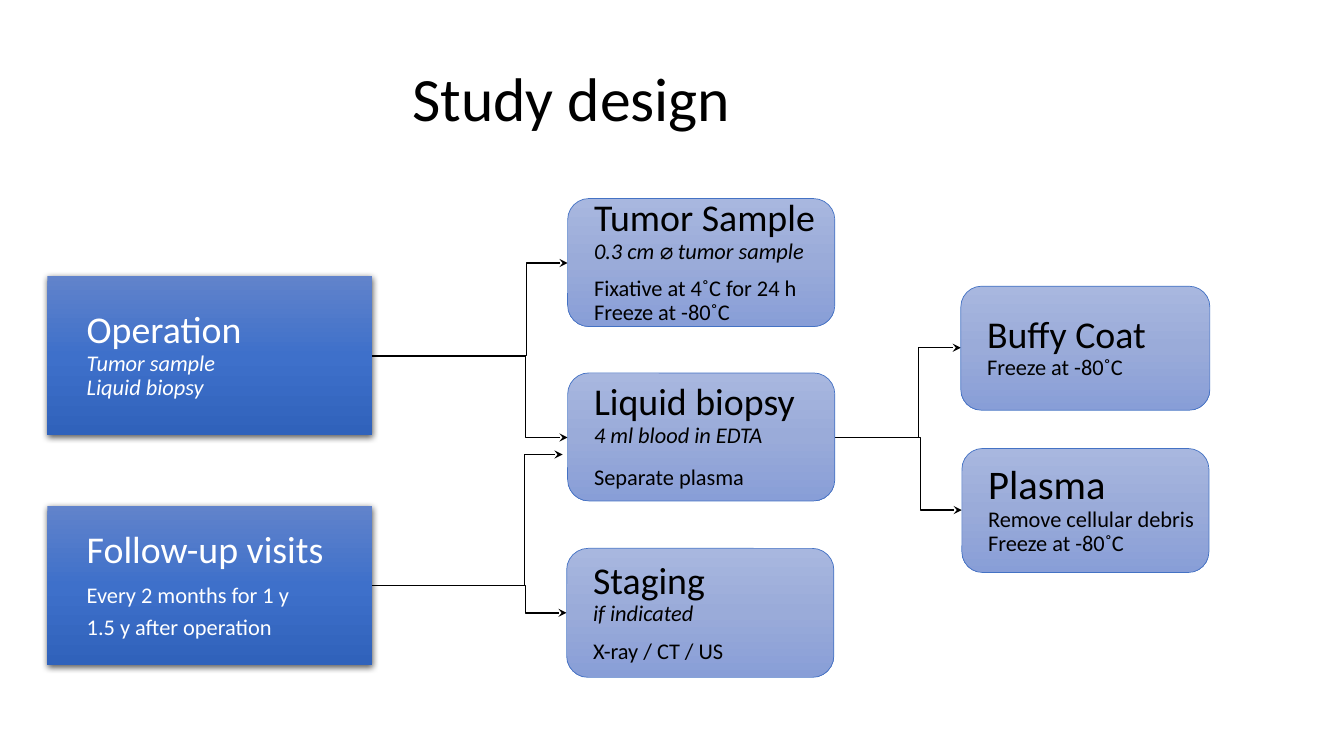
from lxml.etree import SubElement
from copy import deepcopy
from pptx import Presentation
from pptx.dml.color import RGBColor
from pptx.enum.shapes import MSO_CONNECTOR as Connector, MSO_SHAPE as Preset
from pptx.enum.text import MSO_ANCHOR as Anchor
from pptx.oxml import parse_xml
from pptx.oxml.ns import nsdecls, qn
from pptx.util import Inches, Pt

BLACK = RGBColor(0x00, 0x00, 0x00)
WHITE = RGBColor(0xFF, 0xFF, 0xFF)
OUTLINE = RGBColor(0x44, 0x72, 0xC4)
BLUES = [RGBColor(0x61, 0x83, 0xCB), RGBColor(0x3E, 0x70, 0xCA), RGBColor(0x30, 0x62, 0xBB)]
PALES = [RGBColor(0xA8, 0xB7, 0xDF), RGBColor(0x9A, 0xAB, 0xD9), RGBColor(0x88, 0x9E, 0xD7)]
FONT = "Calibri"
HEAD, BODY = 27, 16
GAP = 0.35

VISITS = [
    (2.74, [[("Operation", HEAD), ("Tumor sample ", BODY, True), ("Liquid biopsy", BODY, True)]]),
    (5.02, [[("Follow-up visits", HEAD)], [("Every 2 months for 1 y ", BODY)],
            [("1.5 y after operation", BODY)]]),
]
SAMPLES = [
    ((5.63, 1.97, 2.65, 1.27), GAP,
     [[("Tumor Sample", HEAD), ("0.3 cm ⌀ tumor sample", BODY, True)],
      [("Fixative at 4˚C for 24 h", BODY), ("Freeze at -80˚C", BODY)]]),
    ((5.63, 3.7, 2.65, 1.27), 0.48,
     [[("Liquid biopsy", HEAD), ("4 ml blood in EDTA", BODY, True)], [("Separate plasma", BODY)]]),
    ((5.62, 5.44, 2.65, 1.28), GAP,
     [[("Staging ", HEAD), ("if indicated", BODY, True)], [("X-ray / CT / US", BODY)]]),
    ((9.53, 2.84, 2.47, 1.23), GAP, [[("Buffy Coat", HEAD), ("Freeze at -80˚C", BODY)]]),
    ((9.54, 4.45, 2.45, 1.23), GAP,
     [[("Plasma", 29), ("Remove cellular debris", BODY), ("Freeze at -80˚C", BODY)]]),
]
ARROWS = [
    ((3.56, 5.81), 5.2, (5.58, 4.51)),
    ((3.69, 5.81), 5.21, (5.62, 6.08)),
    ((8.28, 4.34), 9.13, (9.54, 5.06)),
    ((8.28, 4.34), 9.11, (9.53, 3.45)),
    ((3.69, 3.53), 5.21, (5.63, 4.34)),
    ((3.69, 3.53), 5.22, (5.63, 2.61)),
]


def add_span(para, text, size, italic=False, color=BLACK):
    """Append one formatted run to a paragraph."""
    span = para.add_run()
    span.text = text
    span.font.name = FONT
    span.font.size = Pt(size)
    span.font.italic = italic
    span.font.color.rgb = color


def add_break(para, size):
    """Append a line break whose height follows the given text size."""
    para.add_line_break()
    SubElement(para._p[-1], qn("a:rPr"), sz=str(size * 100))


def write_paragraphs(frame, paragraphs, color, gap=GAP):
    """Fill a text frame with paragraphs made of lines."""
    for index, lines in enumerate(paragraphs):
        para = frame.paragraphs[0] if index == 0 else frame.add_paragraph()
        para.alignment = 1
        para.line_spacing = 0.9
        para.space_after = Pt(round(gap * max(line[1] for line in lines), 1))
        for number, (text, size, *style) in enumerate(lines):
            if number:
                add_break(para, lines[number - 1][1])
            add_span(para, text, size, *style, color=color)


def fill_gradient(shape, colors):
    """Fill a shape from top to bottom with three evenly spaced colours."""
    shape.fill.gradient()
    shape.fill.gradient_angle = 270
    stops = shape._element.spPr.find(qn("a:gradFill")).find(qn("a:gsLst"))
    stops.insert(1, deepcopy(stops[0]))
    for index, (stop, color) in enumerate(zip(shape.fill.gradient_stops, colors)):
        stop.position = index / 2
        stop.color.rgb = color


def add_box(page, preset, place, colors, paragraphs, text_color, inset, gap=GAP):
    """Add a gradient box with left-aligned, vertically centred text."""
    box = page.shapes.add_shape(preset, *map(Inches, place))
    box.shadow.inherit = False
    fill_gradient(box, colors)
    frame = box.text_frame
    frame.word_wrap = True
    frame.vertical_anchor = Anchor.MIDDLE
    frame.margin_left = Inches(inset)
    frame.margin_top = frame.margin_right = frame.margin_bottom = Inches(0.02)
    write_paragraphs(frame, paragraphs, text_color, gap)
    return box


def add_visit(page, top, paragraphs):
    """Add a dark, shadowed visit box."""
    box = add_box(page, Preset.RECTANGLE, (0.47, top, 3.22, 1.58), BLUES, paragraphs, WHITE, 0.39)
    box.line.fill.background()
    box._element.spPr.find(qn("a:effectLst")).append(parse_xml(
        f'<a:outerShdw {nsdecls("a")} blurRad="{Pt(4.5)}" dist="{Pt(1.5)}" dir="5400000" '
        'rotWithShape="0"><a:srgbClr val="000000"><a:alpha val="63000"/></a:srgbClr></a:outerShdw>'))


def add_sample(page, place, gap, paragraphs):
    """Add a pale rounded sample box."""
    box = add_box(page, Preset.FLOWCHART_ALTERNATE_PROCESS, place, PALES, paragraphs,
                  BLACK, 0.2, gap)
    box.line.color.rgb = OUTLINE
    box.line.width = Pt(0.5)


def add_arrow(page, start, bend, end):
    """Add an elbow arrow that turns at the given horizontal position."""
    arrow = page.shapes.add_connector(Connector.ELBOW, *map(Inches, start + end))
    arrow.line.color.rgb = BLACK
    arrow.line.width = Pt(1)
    properties = arrow._element.spPr
    ratio = round((bend - start[0]) / (end[0] - start[0]) * 100000)
    guides = properties.find(qn("a:prstGeom")).find(qn("a:avLst"))
    SubElement(guides, qn("a:gd"), name="adj1", fmla=f"val {ratio}")
    SubElement(properties.find(qn("a:ln")), qn("a:tailEnd"), type="stealth")
    SubElement(properties, qn("a:effectLst"))


def add_title(page, text):
    """Add the slide title."""
    box = page.shapes.add_textbox(Inches(3.99), Inches(0.55), Inches(3.39), Inches(0.84))
    box.text_frame.word_wrap = False
    add_span(box.text_frame.paragraphs[0], text, 44)


def main():
    """Build the study design slide and save it."""
    deck = Presentation()
    deck.slide_width, deck.slide_height = Inches(13.33), Inches(7.5)
    page = deck.slides.add_slide(deck.slide_layouts[6])
    add_title(page, "Study design")
    for arrow in ARROWS:
        add_arrow(page, *arrow)
    for visit in VISITS:
        add_visit(page, *visit)
    for sample in SAMPLES:
        add_sample(page, *sample)
    deck.save("out.pptx")


main()
